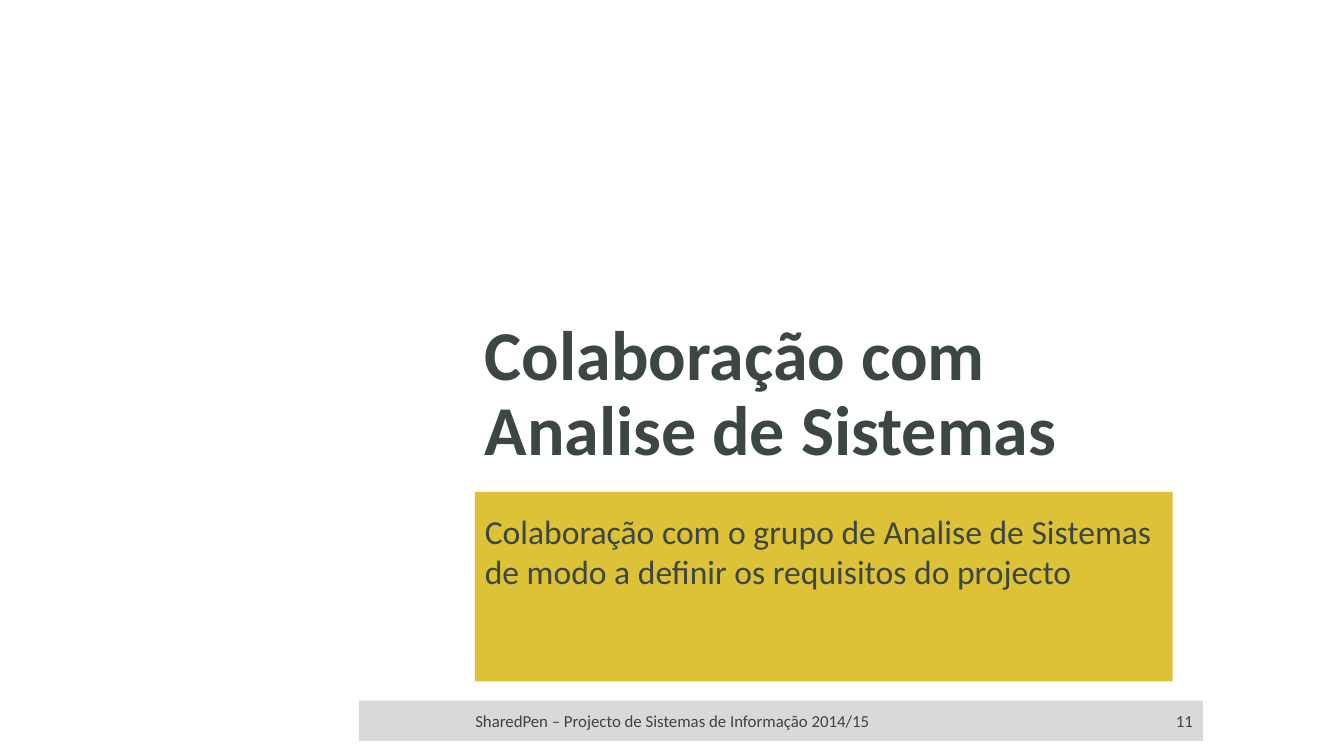
from pptx import Presentation
from pptx.dml.color import RGBColor
from pptx.enum.shapes import MSO_SHAPE as Shape
from pptx.enum.text import MSO_ANCHOR as Anchor, PP_ALIGN as Align
from pptx.util import Pt

EMU_PER_PX = 9144
FONT = "Calibri"
WHITE = RGBColor(0xFF, 0xFF, 0xFF)
GOLD = RGBColor(0xDD, 0xC2, 0x37)
SLATE = RGBColor(0x3C, 0x47, 0x43)
SILVER = RGBColor(0xD9, 0xD9, 0xD9)
CHARCOAL = RGBColor(0x40, 0x40, 0x40)


def px(*lengths):
    return [n * EMU_PER_PX for n in lengths]


class SlideBuilder:
    def __init__(self, prs):
        self.s = prs.slides.add_slide(prs.slide_layouts[6])
        fill = self.s.background.fill
        fill.solid()
        fill.fore_color.rgb = WHITE

    def set_text(self, sp, text, size, color, anchor, align, bold=False, spacing=1.0):
        tf = sp.text_frame
        tf.text = text
        tf.word_wrap = True
        tf.vertical_anchor = anchor
        p = tf.paragraphs[0]
        p.alignment = align
        p.line_spacing = spacing
        r = p.runs[0]
        r.font.name = FONT
        r.font.size = Pt(size)
        r.font.bold = bold
        r.font.color.rgb = color

    def rect(self, box, color):
        sp = self.s.shapes.add_shape(Shape.RECTANGLE, *px(*box))
        sp.shadow.inherit = False
        sp.fill.solid()
        sp.fill.fore_color.rgb = color
        sp.line.fill.background()
        return sp

    def text(self, box, text, size, anchor, **style):
        sp = self.s.shapes.add_textbox(*px(*box))
        self.set_text(sp, text, size, SLATE, anchor, Align.LEFT, **style)

    def footer(self, left, width, text, align):
        sp = self.rect((left, 695, width, 40), SILVER)
        self.set_text(sp, text, 12, CHARCOAL, Anchor.MIDDLE, align)


def main():
    prs = Presentation()
    prs.slide_width, prs.slide_height = px(1333, 750)
    slide = SlideBuilder(prs)
    slide.rect((471, 488, 692, 188), GOLD)
    slide.text((471, 134, 692, 338), "Colaboração com Analise de Sistemas",
               50, Anchor.BOTTOM, bold=True, spacing=0.9)
    slide.text((471, 502, 692, 164),
               "Colaboração com o grupo de Analise de Sistemas "
               "de modo a definir os requisitos do projecto", 24, Anchor.TOP)
    slide.footer(356, 622, "SharedPen – Projecto de Sistemas de Informação 2014/15",
                 Align.CENTER)
    slide.footer(978, 215, "11", Align.RIGHT)
    prs.save("out.pptx")


if __name__ == "__main__":
    main()
